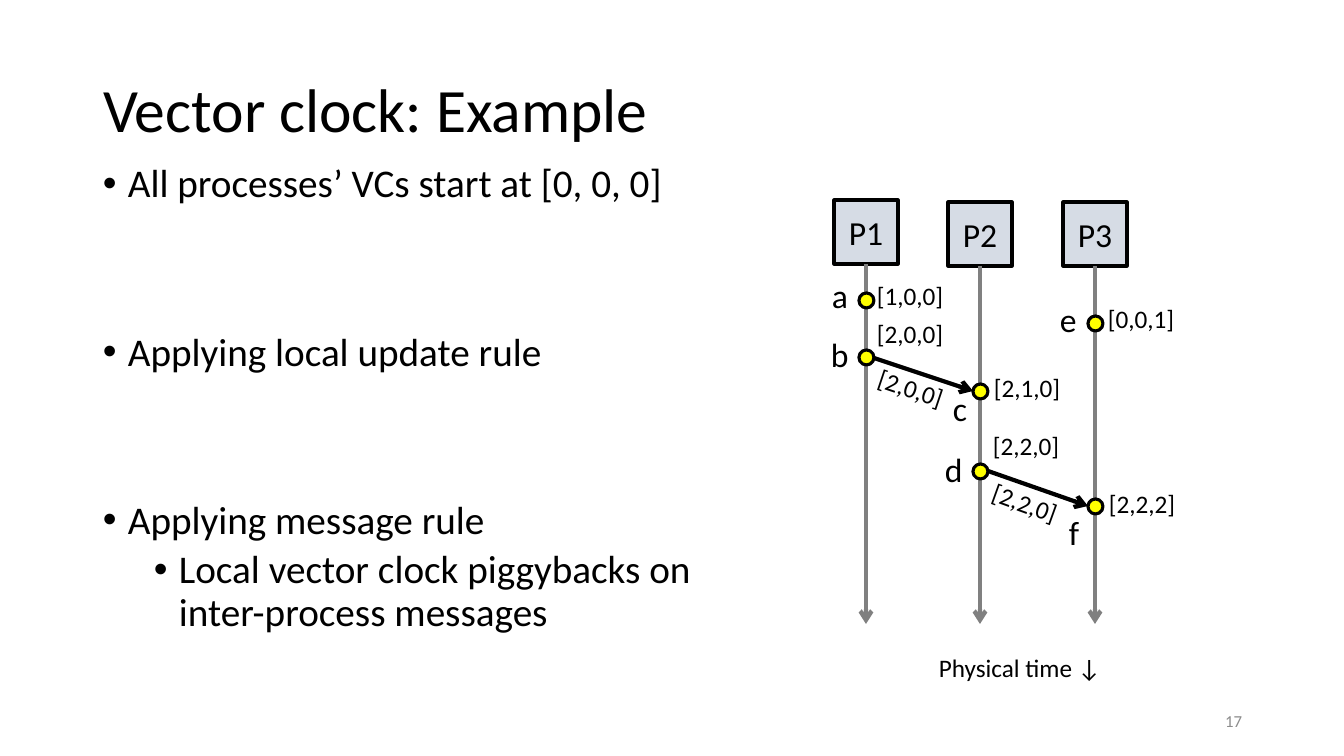
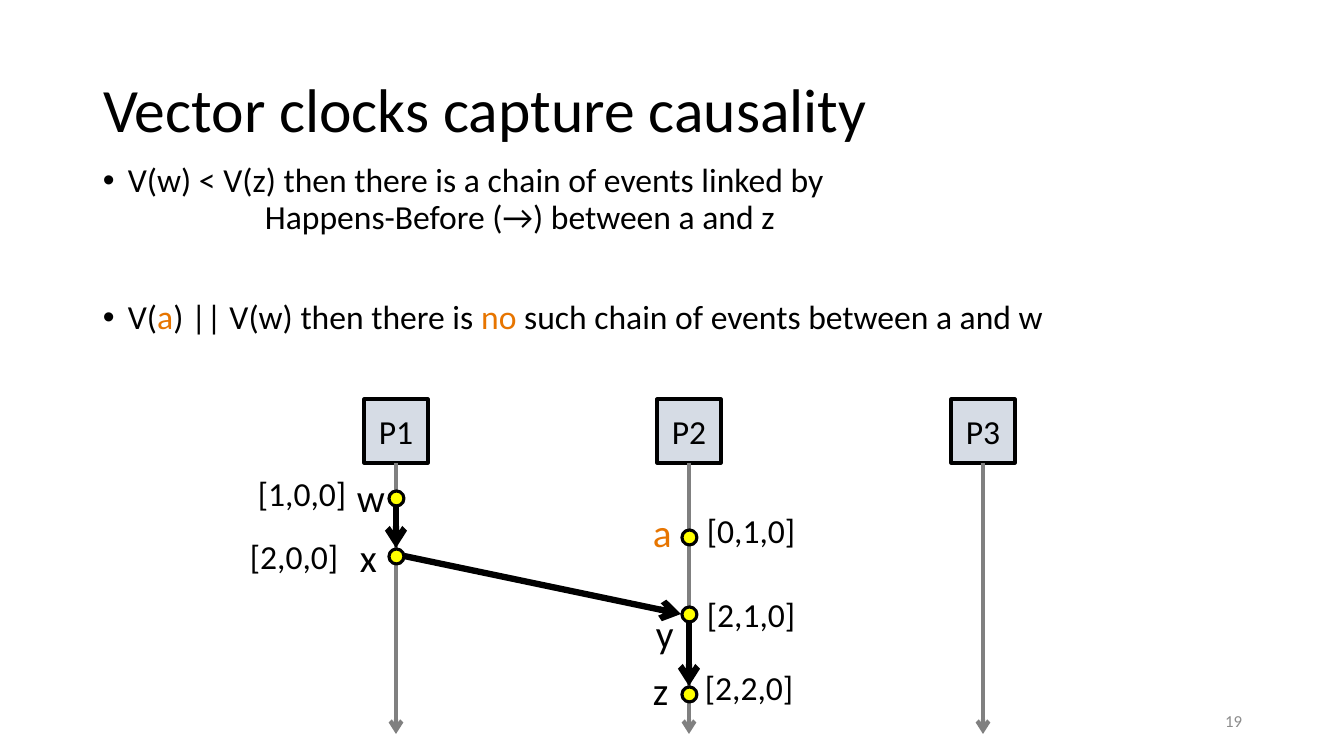
from lxml.etree import SubElement
from pptx import Presentation
from pptx.dml.color import RGBColor
from pptx.enum.shapes import MSO_CONNECTOR, MSO_SHAPE
from pptx.enum.text import MSO_ANCHOR, PP_ALIGN
from pptx.oxml.ns import qn
from pptx.util import Pt

# Shared scale and style
PX = 12192000 / 1344
FONT = "Calibri"
BLACK, GRAY, ORANGE = "000000", "808080", "E77500"
BOX_FILL, DOT_FILL, NUMBER_COLOR = "D6DCE5", "FFFF00", "8C8C8C"
BOX_SIZE, DOT_SIZE = 64, 15
LABEL_HEIGHTS = {18: 40, 24: 50, 28: 57}


def px(*lengths):
    return [round(length * PX) for length in lengths]


def set_font(font, size, color=BLACK):
    font.name = FONT
    font.size = Pt(size)
    font.color.rgb = RGBColor.from_string(color)


presentation = Presentation()
presentation.slide_width, presentation.slide_height = px(1344, 756)

# Body: (runs, left indent, bullet, space before); a run is (text, color)
# Labels: (text, left, top, width, color, rotation)
pages = [
    {
        "title": "Vector clock: Example",
        "number": "17",
        "body_box": (93, 159, 692, 576),
        "body_size": 28,
        "body": [
            ([("All processes’ VCs start at [0, 0, 0]", BLACK)], 25, True, 0),
            ([("Applying local update rule", BLACK)], 25, True, 90),
            ([("Applying message rule", BLACK)], 25, True, 90),
            ([("Local vector clock piggybacks on inter-process messages", BLACK)], 76, True, 5),
        ],
        "processes": [("P1", 866, 200), ("P2", 980, 202), ("P3", 1095, 202)],
        "lifeline_end": 624,
        "dots": [(866, 300), (866, 357), (980, 391), (980, 471), (1095, 323), (1095, 506)],
        "arrow_width": 3,
        "arrows": [(874, 358, 973, 391), (988, 471, 1088, 506)],
        "labels": {
            24: [
                ("a", 822, 270, 36, BLACK, 0),
                ("b", 821, 329, 38, BLACK, 0),
                ("c", 943, 383, 34, BLACK, 0),
                ("d", 935, 444, 38, BLACK, 0),
                ("e", 1050, 294, 37, BLACK, 0),
                ("f", 1059, 507, 31, BLACK, 0),
            ],
            18: [
                ("[1,0,0]", 867, 275, 88, BLACK, 0),
                ("[2,0,0]", 867, 313, 88, BLACK, 0),
                ("[2,0,0]", 868, 368, 88, BLACK, 18.5),
                ("[2,1,0]", 984, 367, 88, BLACK, 0),
                ("[2,2,0]", 983, 425, 88, BLACK, 0),
                ("[2,2,0]", 982, 483, 88, BLACK, 19.8),
                ("[0,0,1]", 1098, 298, 88, BLACK, 0),
                ("[2,2,2]", 1099, 483, 88, BLACK, 0),
                ("Physical time ↓", 929, 647, 184, BLACK, 0),
            ],
        },
    },
    {
        "title": "Vector clocks capture causality",
        "number": "19",
        "body_box": (93, 159, 1159, 237),
        "body_size": 24,
        "body": [
            ([("V(w) < V(z) then there is a chain of events linked by", BLACK)], 25, True, 0),
            ([("Happens-Before (→) between a and z", BLACK)], 162, False, 0),
            ([("V(", BLACK), ("a", ORANGE), (") || V(w) then there is ", BLACK), ("no", ORANGE),
              (" such chain of events between a and w", BLACK)], 25, True, 46),
        ],
        "processes": [("P1", 396, 399), ("P2", 689, 399), ("P3", 983, 399)],
        "lifeline_end": 734,
        "dots": [(396, 498), (396, 556), (689, 537), (689, 614), (689, 694)],
        "arrow_width": 4.5,
        "arrows": [(396, 506, 396, 548), (404, 556, 681, 614), (689, 622, 689, 686)],
        "labels": {
            28: [
                ("w", 347, 468, 48, BLACK, 0),
                ("x", 350, 528, 37, BLACK, 0),
                ("a", 643, 503, 39, ORANGE, 0),
                ("y", 646, 604, 38, BLACK, 0),
                ("z", 643, 661, 36, BLACK, 0),
            ],
            24: [
                ("[1,0,0]", 248, 468, 110, BLACK, 0),
                ("[2,0,0]", 240, 531, 110, BLACK, 0),
                ("[0,1,0]", 697, 505, 110, BLACK, 0),
                ("[2,1,0]", 697, 589, 110, BLACK, 0),
                ("[2,2,0]", 695, 662, 110, BLACK, 0),
            ],
        },
    },
]

for page in pages:
    slide = presentation.slides.add_slide(presentation.slide_layouts[5])
    shapes = slide.shapes

    # Title
    title = shapes.title
    title.left, title.top, title.width, title.height = px(93, 40, 1159, 146)
    title.text_frame.text = page["title"]
    title.text_frame.vertical_anchor = MSO_ANCHOR.MIDDLE
    paragraph = title.text_frame.paragraphs[0]
    paragraph.alignment = PP_ALIGN.LEFT
    paragraph.line_spacing = 0.9
    set_font(paragraph.font, 44)

    # Body text
    frame = shapes.add_textbox(*px(*page["body_box"])).text_frame
    frame.word_wrap = True
    for index, (runs, indent, bullet, space_before) in enumerate(page["body"]):
        paragraph = frame.add_paragraph() if index else frame.paragraphs[0]
        paragraph.line_spacing = 0.9
        paragraph.space_before = Pt(space_before)
        properties = paragraph._p.get_or_add_pPr()
        properties.set("marL", str(px(indent)[0]))
        properties.set("indent", str(px(-25 if bullet else 0)[0]))
        if bullet:
            SubElement(properties, qn("a:buFont"), typeface="Arial")
            SubElement(properties, qn("a:buChar"), char="•")
        set_font(paragraph.font, page["body_size"])
        for text, color in runs:
            run = paragraph.add_run()
            run.text = text
            if color != BLACK:
                run.font.color.rgb = RGBColor.from_string(color)

    # Slide number
    frame = shapes.add_textbox(*px(950, 701, 302, 40)).text_frame
    frame.word_wrap = True
    frame.vertical_anchor = MSO_ANCHOR.MIDDLE
    frame.text = page["number"]
    frame.paragraphs[0].alignment = PP_ALIGN.RIGHT
    set_font(frame.paragraphs[0].font, 12, NUMBER_COLOR)

    # Process boxes and event dots, each with its outline
    boxes = []
    for name, center, top in page["processes"]:
        box = shapes.add_shape(MSO_SHAPE.FLOWCHART_PROCESS,
                               *px(center - BOX_SIZE // 2, top, BOX_SIZE, BOX_SIZE))
        box.text_frame.text = name
        box.text_frame.vertical_anchor = MSO_ANCHOR.MIDDLE
        box.text_frame.paragraphs[0].alignment = PP_ALIGN.CENTER
        set_font(box.text_frame.paragraphs[0].font, 24)
        boxes.append(box)

    # Lifelines first, then message arrows
    lines = [(center, top + BOX_SIZE, center, page["lifeline_end"], GRAY, 3, box)
             for box, (name, center, top) in zip(boxes, page["processes"])]
    lines += [(*ends, BLACK, page["arrow_width"], None) for ends in page["arrows"]]
    for *ends, color, width, box in lines:
        connector = shapes.add_connector(MSO_CONNECTOR.STRAIGHT, *px(*ends))
        if box is not None:
            connector.begin_connect(box, 2)
        connector.line.color.rgb = RGBColor.from_string(color)
        connector.line.width = Pt(width)
        SubElement(connector.line._get_or_add_ln(), qn("a:tailEnd"), type="arrow")
        SubElement(connector._element.spPr, qn("a:effectLst"))

    dots = [shapes.add_shape(MSO_SHAPE.OVAL,
                             *px(x - DOT_SIZE // 2, y - DOT_SIZE // 2, DOT_SIZE, DOT_SIZE))
            for x, y in page["dots"]]
    for shape in boxes + dots:
        shape.shadow.inherit = False
        shape.fill.solid()
        shape.fill.fore_color.rgb = RGBColor.from_string(BOX_FILL if shape in boxes else DOT_FILL)
        shape.line.color.rgb = RGBColor.from_string(BLACK)
        shape.line.width = Pt(2.25)

    # Event names and clock values
    for size, labels in page["labels"].items():
        for text, left, top, width, color, rotation in labels:
            label = shapes.add_textbox(*px(left, top, width, LABEL_HEIGHTS[size]))
            label.rotation = rotation
            label.text_frame.word_wrap = False
            label.text_frame.text = text
            set_font(label.text_frame.paragraphs[0].font, size, color)

presentation.save("out.pptx")
